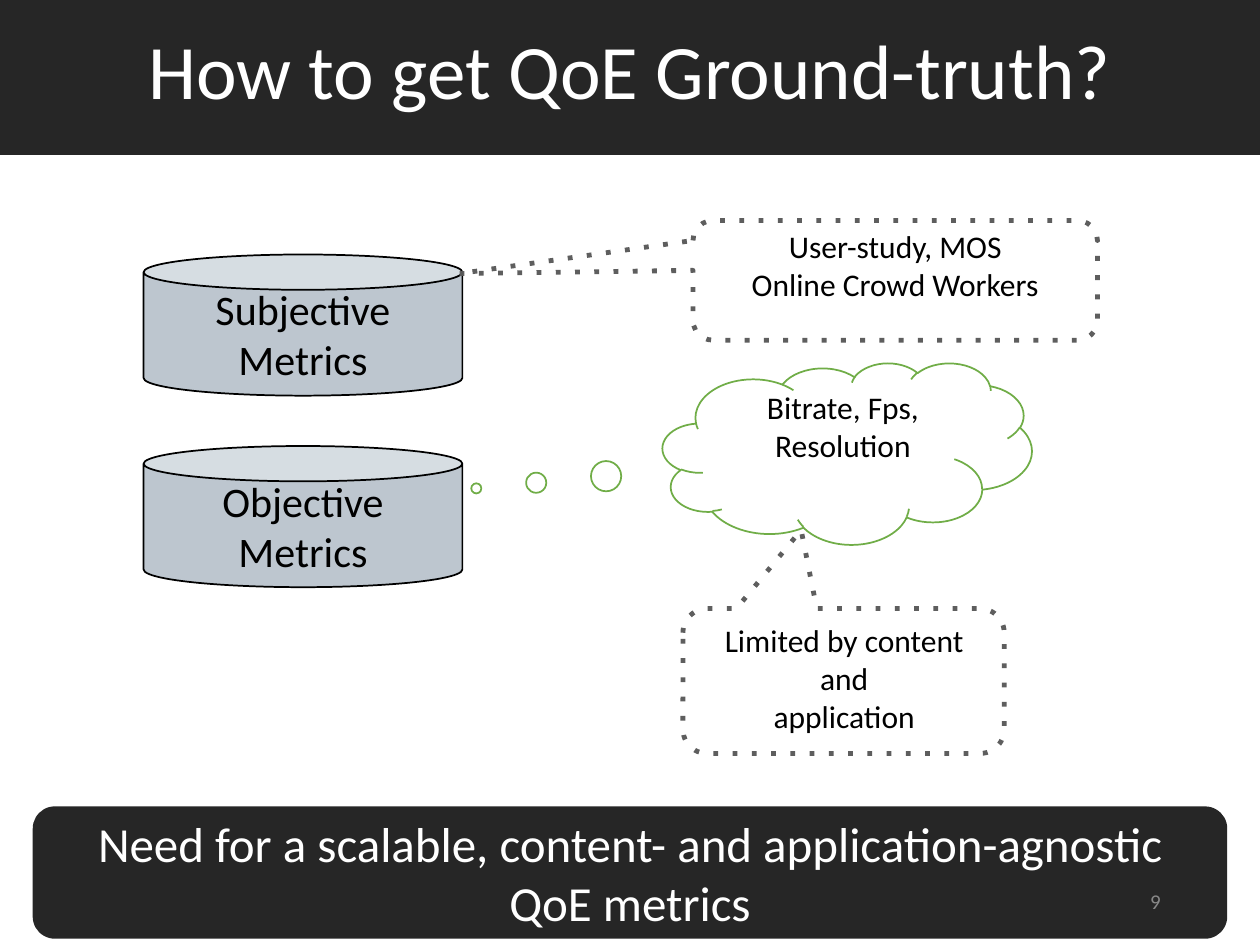
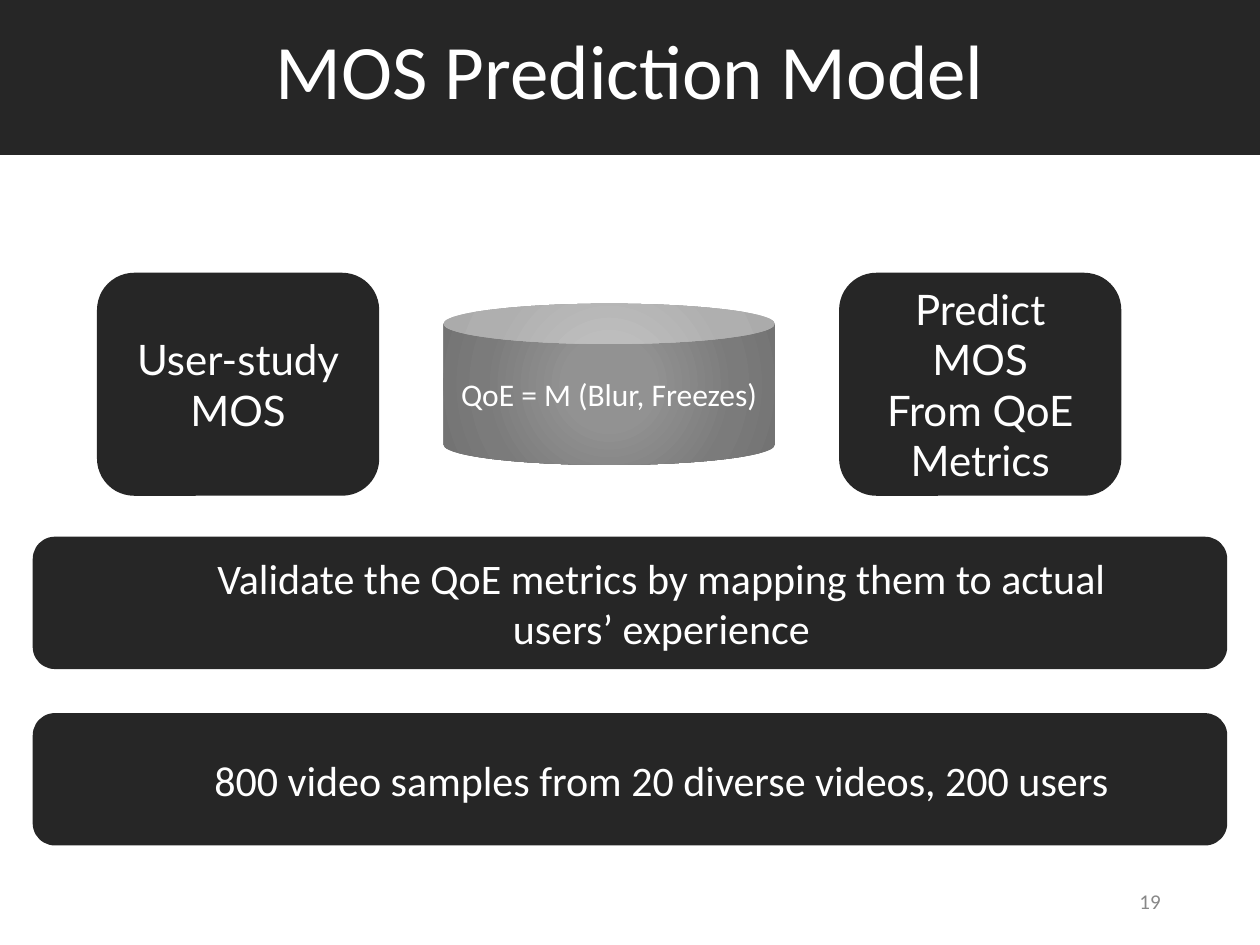
from lxml import etree
from pptx import Presentation
from pptx import util as u
from pptx.dml.color import RGBColor
from pptx.enum import shapes, text
from pptx.oxml import ns, parse_xml

# Shared look
WIDTH, HEIGHT = 10, 7.5
DARK, WHITE, BLACK, GREY = "262626", "FFFFFF", "000000", "888888"
STEEL, GREEN, DOTS = "A1AFBB", "70AD47", "595959"
MARGIN, BANNER_H = 0.26, 1.05
TITLE_BAND = (0, -0.04, WIDTH, 1.27)
NUMBER_BOX = (7.06, 6.95, 2.25, 0.4)
KIND = shapes.MSO_SHAPE
MIDDLE, TOP = text.MSO_ANCHOR.MIDDLE, text.MSO_ANCHOR.TOP
CENTER, RIGHT = text.PP_ALIGN.CENTER, text.PP_ALIGN.RIGHT

# Slide 1 content
TRUTH = {"title": "How to get QoE Ground-truth?", "number": "9"}
NEED = ["Need for a scalable, content- and application-agnostic QoE metrics"]
METRICS = [["Subjective", "Metrics"], ["Objective", "Metrics"]]
CALLOUTS = [  # place, tail and corner adjustments
    ((5.5, 1.75, 3.21, 0.95), (-1.079, -0.056, 0.167)),
    ((5.42, 4.83, 2.55, 1.15), (-0.132, -1.042, 0.167)),
]
NOTES = [  # place, lines, indent
    ((5.72, 1.75, 2.77, 0.71), ["User-study, MOS", "Online Crowd Workers"], 0),
    ((5.45, 3.03, 1.98, 0.71), ["Bitrate, Fps,", "Resolution"], 0.5),
    ((5.61, 4.88, 2.18, 1.01), ["Limited by content", "and", "application"], 0),
]

# Slide 2 content
MODEL = {"title": "MOS Prediction Model", "number": "19"}
STAGES = [  # kind, width, height, lines, font, size
    (KIND.ROUNDED_RECTANGLE, 2.24, 1.77, ["User-study", "MOS"], "Lato", 24),
    (KIND.CAN, 2.63, 1.28, ["QoE = M (Blur, Freezes)"], "Calibri", 18),
    (KIND.ROUNDED_RECTANGLE, 2.24, 1.77, ["Predict MOS", "From QoE Metrics"], "Lato", 24),
]
FINDINGS = [
    ["Validate the QoE metrics by mapping them to actual", "users’ experience"],
    ["800 video samples from 20 diverse videos, 200 users"],
]
CAN_STOPS = [(0, "929292"), (23, "929292"), (69, "7B7B7B"), (97, "737373"), (100, "737373")]


# Helpers
def rgb(value):
    return RGBColor.from_string(value)


def place(box):
    return [u.Inches(v) for v in box]


def set_alpha(fill, percent):
    color = fill._xPr.find(".//" + ns.qn("a:srgbClr"))
    etree.SubElement(color, ns.qn("a:alpha")).set("val", str(percent * 1000))


def write(sp, lines, size, color=WHITE, font="Calibri", align=CENTER,
          anchor=MIDDLE, indent=0, spacing=None):
    tf = sp.text_frame
    tf.word_wrap, tf.vertical_anchor = True, anchor
    for i, line in enumerate(lines):
        p = tf.add_paragraph() if i else tf.paragraphs[0]
        p.alignment, p.line_spacing = align, spacing
        if indent:
            p.level = 1
            pPr = p._p.get_or_add_pPr()
            pPr.set("marL", str(u.Inches(indent)))
            pPr.set("indent", "0")
        r = p.add_run()
        r.text = line
        for name, value in {"name": font, "size": u.Pt(size)}.items():
            setattr(r.font, name, value)
        r.font.color.rgb = rgb(color)


def add_box(s, kind, box, fill=None, line=None, weight=1, adjust=()):
    sp = s.shapes.add_shape(kind, *place(box))
    sp.shadow.inherit = False
    for i, value in enumerate(adjust):
        sp.adjustments[i] = value
    if fill:
        sp.fill.solid()
        sp.fill.fore_color.rgb = rgb(fill)
    else:
        sp.fill.background()
    if line:
        sp.line.color.rgb = rgb(line)
        sp.line.width = u.Pt(weight)
    else:
        sp.line.fill.background()
    return sp


def add_label(s, box, lines, size, **style):
    write(s.shapes.add_textbox(*place(box)), lines, size, **style)


def add_banner(s, top, lines, size, indent=0):
    sp = add_box(s, KIND.ROUNDED_RECTANGLE,
                 (MARGIN, top, WIDTH - 2 * MARGIN, BANNER_H), DARK)
    write(sp, lines, size, indent=indent)


def add_dotted_callout(s, box, adjust):
    sp = add_box(s, KIND.ROUNDED_RECTANGULAR_CALLOUT, box, line=DOTS,
                 weight=2.75, adjust=adjust)
    set_alpha(sp.line.fill, 97)
    etree.SubElement(sp.line._ln, ns.qn("a:prstDash")).set("val", "dot")


def fill_radial(sp, stops):
    gs = "".join(f'<a:gs pos="{pos * 1000}"><a:srgbClr val="{color}"/></a:gs>'
                 for pos, color in stops)
    grad = parse_xml(
        f'<a:gradFill {ns.nsdecls("a")}><a:gsLst>{gs}</a:gsLst><a:path path="circle">'
        '<a:fillToRect l="50000" t="50000" r="50000" b="50000"/></a:path></a:gradFill>')
    spPr = sp._element.spPr
    spPr.replace(spPr.find(ns.qn("a:solidFill")), grad)


def add_slide(prs):
    return prs.slides.add_slide(prs.slide_layouts[6])


def add_frame(s, title, number):
    band = add_box(s, KIND.RECTANGLE, TITLE_BAND, DARK)
    write(band, [title], 44, spacing=0.9)
    add_label(s, NUMBER_BOX, [number], 12, color=GREY, align=RIGHT, anchor=MIDDLE)


# Slides
def build_ground_truth(prs):
    s = add_slide(prs)
    add_box(s, KIND.CLOUD_CALLOUT, (5.26, 2.88, 2.93, 1.44), WHITE, GREEN,
            adjust=(-1.005, 0.192))
    add_banner(s, 6.4, NEED, 28)
    add_frame(s, **TRUTH)
    for row, lines in enumerate(METRICS):
        can = add_box(s, KIND.CAN, (1.14, 2.02 + 1.52 * row, 2.53, 1.12), STEEL, BLACK)
        set_alpha(can.fill, 70)
        write(can, lines, 24, BLACK)
    for box, adjust in CALLOUTS:
        add_dotted_callout(s, box, adjust)
    for box, lines, indent in NOTES:
        add_label(s, box, lines, 18, color=BLACK, anchor=TOP, indent=indent)


def build_model(prs):
    s = add_slide(prs)
    add_frame(s, **MODEL)
    left, gap, middle = 0.77, 0.51, 3.05
    for kind, width, height, lines, font, size in STAGES:
        sp = add_box(s, kind, (left, middle - height / 2, width, height), DARK)
        if kind == KIND.CAN:
            fill_radial(sp, CAN_STOPS)
        write(sp, lines, size, font=font)
        left += width + gap
    for row, lines in enumerate(FINDINGS):
        add_banner(s, 4.26 + 1.4 * row, lines, 24, indent=0.5)


def main():
    prs = Presentation()
    prs.slide_width, prs.slide_height = u.Inches(WIDTH), u.Inches(HEIGHT)
    build_ground_truth(prs)
    build_model(prs)
    prs.save("out.pptx")


if __name__ == "__main__":
    main()
